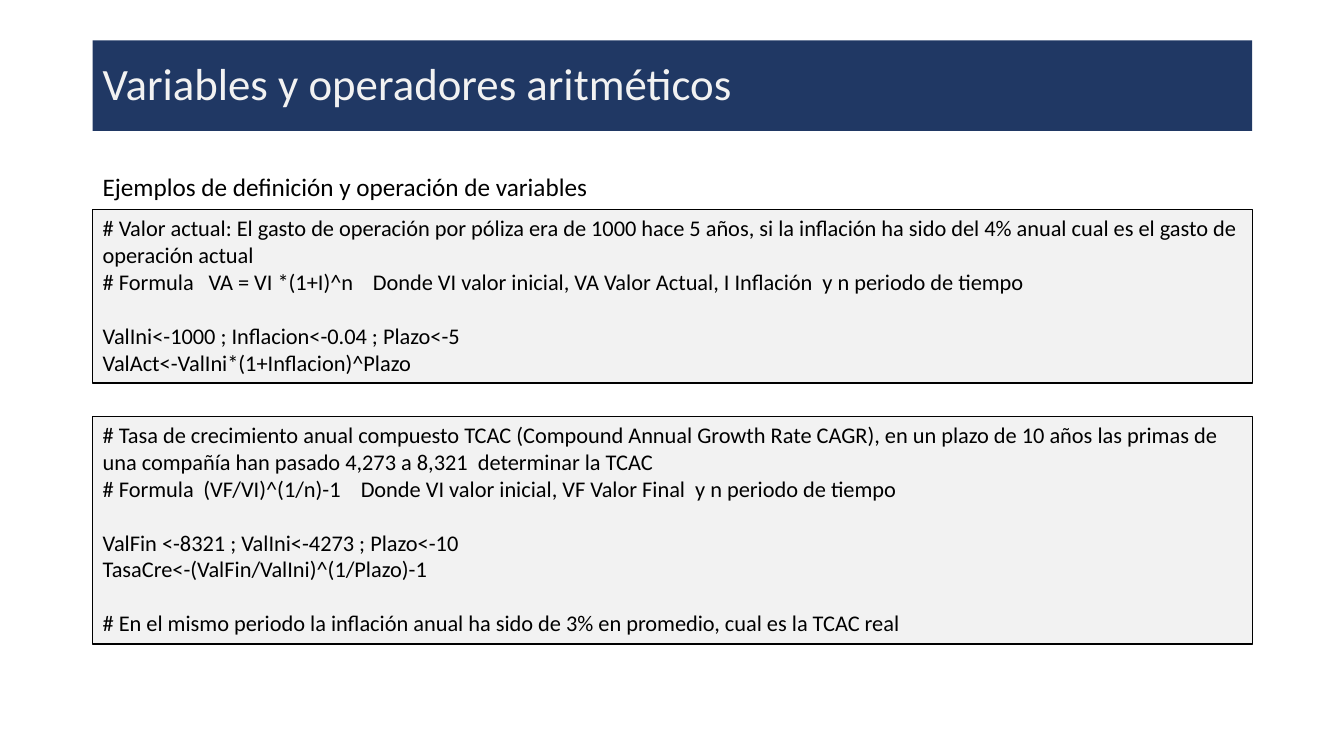
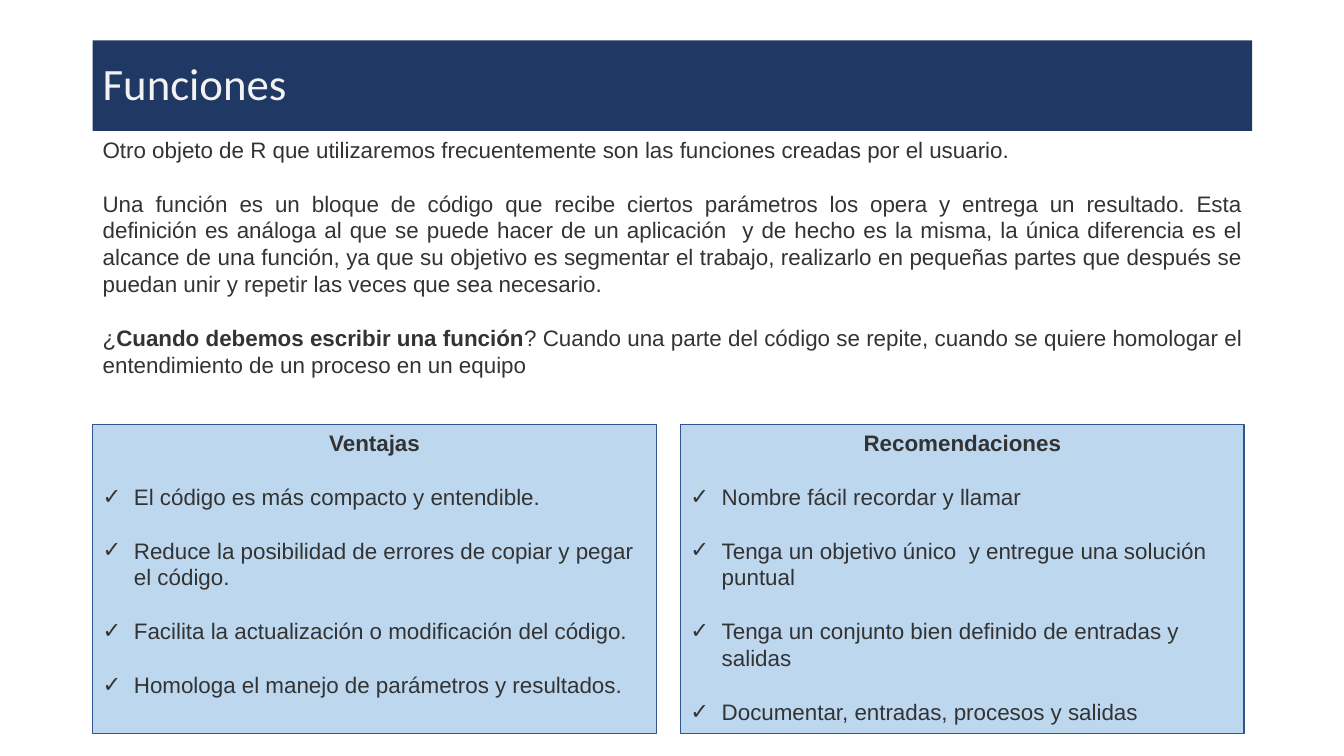
from dataclasses import dataclass

from lxml import etree
from pptx import Presentation
from pptx import util as u
from pptx.dml.color import RGBColor
from pptx.enum import shapes, text
from pptx.oxml import ns

PX = 9144
LEFT, WIDTH = 92, 1150
COLORS = {
    "navy": "203864",
    "pale": "F2F2F2",
    "black": "000000",
    "ink": "333333",
    "sky": "BDD7EE",
    "edge": "325491",
}


@dataclass
class Line:
    words: str
    gap: bool = False
    bold: bool = False
    bullet: bool = False
    align: text.PP_ALIGN = text.PP_ALIGN.LEFT
    tabs: tuple = ()


class Deck:
    body_size = 16
    blank_line = 19.2
    indent = 31

    def __init__(self):
        self.prs = Presentation()
        self.prs.slide_width = u.Emu(1333 * PX)
        self.prs.slide_height = u.Emu(750 * PX)
        self.slide = None

    def color(self, name):
        return RGBColor.from_string(COLORS[name])

    def start(self, title):
        self.slide = self.prs.slides.add_slide(self.prs.slide_layouts[6])
        band = self.panel(LEFT, 40, WIDTH, 90, "navy")
        band.text_frame.vertical_anchor = text.MSO_ANCHOR.MIDDLE
        self.set_lines(band, [Line(title)], "Calibri", "pale", 32)
        band.text_frame.paragraphs[0].line_spacing = 0.9

    def panel(self, x, y, w, h, fill, edge=None, edge_width=1):
        box = self.slide.shapes.add_shape(
            shapes.MSO_SHAPE.RECTANGLE, *(u.Emu(n * PX) for n in (x, y, w, h)))
        box.shadow.inherit = False
        box.fill.solid()
        box.fill.fore_color.rgb = self.color(fill)
        if edge:
            box.line.color.rgb = self.color(edge)
            box.line.width = u.Pt(edge_width)
        else:
            box.line.fill.background()
        box.text_frame.vertical_anchor = text.MSO_ANCHOR.TOP
        return box

    def passage(self, y, h, lines, font, color, size=body_size):
        box = self.slide.shapes.add_textbox(
            *(u.Emu(n * PX) for n in (LEFT, y, WIDTH, h)))
        self.set_lines(box, lines, font, color, size)

    def code(self, y, h, lines):
        box = self.panel(LEFT, y, WIDTH, h, "pale", "black", 0.75)
        self.set_lines(box, lines, "Calibri", "black")

    def card(self, x, heading, points):
        box = self.panel(x, 421, 559, 307, "sky", "edge")
        lines = [Line(heading, bold=True, align=text.PP_ALIGN.CENTER)]
        lines += [Line(point, gap=True, bullet=True) for point in points]
        self.set_lines(box, lines, "Arial", "ink")

    def set_lines(self, box, lines, font, color, size=body_size):
        frame = box.text_frame
        frame.word_wrap = True
        for i, line in enumerate(lines):
            paragraph = frame.add_paragraph() if i else frame.paragraphs[0]
            paragraph.alignment = line.align
            paragraph.space_before = u.Pt(self.blank_line if line.gap else 0)
            paragraph.font.name = font
            paragraph.font.size = u.Pt(size)
            paragraph.font.bold = line.bold
            paragraph.font.color.rgb = self.color(color)
            for j, part in enumerate(line.words.split("**")):
                run = paragraph.add_run()
                run.text = part
                if j % 2:
                    run.font.bold = True
            if line.bullet:
                self.add_bullet(paragraph)
            if line.tabs:
                self.add_tabs(paragraph, line.tabs)

    def add_before_font(self, paragraph, tag, **attributes):
        element = etree.Element(ns.qn(tag), attributes)
        paragraph.font._element.addprevious(element)
        return element

    def add_bullet(self, paragraph):
        properties = paragraph._p.get_or_add_pPr()
        properties.set("marL", str(self.indent * PX))
        properties.set("indent", str(-self.indent * PX))
        self.add_before_font(paragraph, "a:buFont", typeface="Arial")
        self.add_before_font(paragraph, "a:buChar", char="✓")

    def add_tabs(self, paragraph, stops):
        tab_list = self.add_before_font(paragraph, "a:tabLst")
        for stop in stops:
            etree.SubElement(tab_list, ns.qn("a:tab"), pos=str(stop * PX), algn="l")

    def add_before_font(self, paragraph, tag, **attributes):
        element = etree.Element(ns.qn(tag), attributes)
        defaults = paragraph._p.get_or_add_pPr().find(ns.qn("a:defRPr"))
        defaults.addprevious(element)
        return element


def variables(deck):
    deck.start("Variables y operadores aritméticos")
    deck.code(208, 172, [
        Line("# Valor actual: El gasto de operación por póliza era de 1000 hace 5 años, "
             "si la inflación ha sido del 4% anual cual es el gasto de operación actual"),
        Line("# Formula\tVA = VI *(1+I)^n\tDonde VI valor inicial, VA Valor Actual, "
             "I Inflación  y n periodo de tiempo", tabs=(105, 268)),
        Line("ValIni<-1000 ; Inflacion<-0.04 ; Plazo<-5", gap=True),
        Line("ValAct<-ValIni*(1+Inflacion)^Plazo"),
    ])
    deck.passage(165, 40, [Line("Ejemplos de definición y operación de variables")],
                 "Calibri", "black", 18)
    deck.code(413, 226, [
        Line("# Tasa de crecimiento anual compuesto TCAC (Compound Annual Growth Rate CAGR), "
             "en un plazo de 10 años las primas de una compañía han pasado 4,273 a 8,321  "
             "determinar la TCAC"),
        Line("# Formula\t(VF/VI)^(1/n)-1\tDonde VI valor inicial, VF Valor Final  "
             "y n periodo de tiempo", tabs=(100, 256)),
        Line("ValFin <-8321 ; ValIni<-4273 ; Plazo<-10", gap=True),
        Line("TasaCre<-(ValFin/ValIni)^(1/Plazo)-1"),
        Line("# En el mismo periodo la inflación anual ha sido de 3% en promedio, "
             "cual es la TCAC real", gap=True),
    ])


def functions(deck):
    deck.start("Funciones")
    justify = text.PP_ALIGN.JUSTIFY
    deck.passage(130, 252, [
        Line("Otro objeto de R que utilizaremos frecuentemente son las funciones creadas "
             "por el usuario.", align=justify),
        Line("Una función es un bloque de código que recibe ciertos parámetros los opera y "
             "entrega un resultado. Esta definición es análoga al que se puede hacer de un "
             "aplicación  y de hecho es la misma, la única diferencia es el alcance de una "
             "función, ya que su objetivo es segmentar el trabajo, realizarlo en pequeñas "
             "partes que después se puedan unir y repetir las veces que sea necesario.",
             gap=True, align=justify),
        Line("¿**Cuando debemos escribir una función**? Cuando una parte del código se "
             "repite, cuando se quiere homologar el entendimiento de un proceso en un equipo",
             gap=True, align=justify),
    ], "Arial", "ink")
    cards = {
        "Ventajas": [
            "El código es más compacto y entendible.",
            "Reduce la posibilidad de errores de copiar y pegar el código.",
            "Facilita la actualización o modificación del código.",
            "Homologa el manejo de parámetros y resultados.",
        ],
        "Recomendaciones": [
            "Nombre fácil recordar y llamar",
            "Tenga un objetivo único  y entregue una solución puntual",
            "Tenga un conjunto bien definido de entradas y salidas",
            "Documentar, entradas, procesos y salidas",
        ],
    }
    for column, (heading, points) in enumerate(cards.items()):
        deck.card(LEFT + column * 583, heading, points)


def main():
    deck = Deck()
    variables(deck)
    functions(deck)
    deck.prs.save("out.pptx")


if __name__ == "__main__":
    main()
